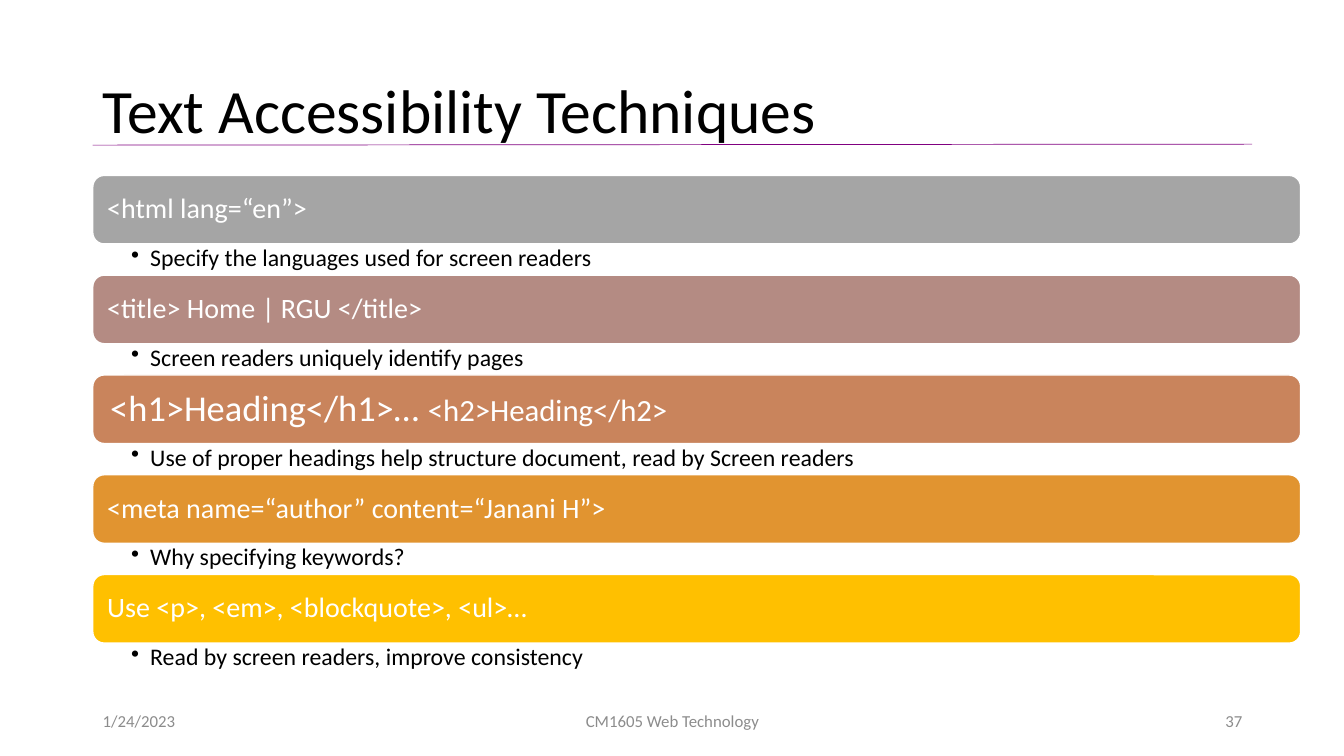
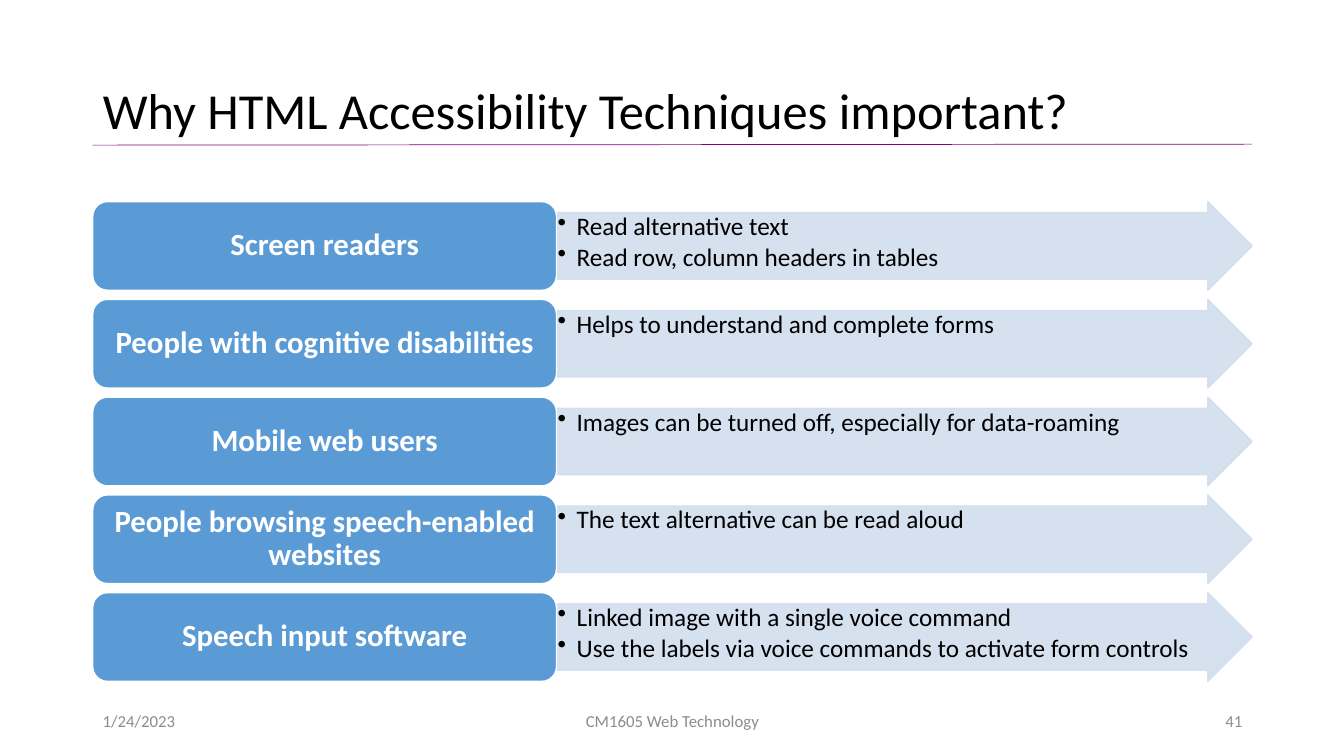
"""Build two slides on HTML accessibility techniques."""

from dataclasses import dataclass
from typing import Optional

from lxml.etree import SubElement
from pptx import Presentation
from pptx.dml.color import RGBColor
from pptx.enum.shapes import MSO_CONNECTOR, MSO_SHAPE
from pptx.enum.text import MSO_ANCHOR, MSO_AUTO_SIZE, PP_ALIGN
from pptx.oxml.ns import qn
from pptx.shapes.autoshape import Shape
from pptx.slide import Slide
from pptx.text.text import TextFrame
from pptx.util import Inches, Pt

COLORS = {
    "black": "000000",
    "white": "FFFFFF",
    "rule": "800080",
    "footer": "8C8C8C",
    "label": "5B9BD5",
    "arrow": "D2DEEF",
    "gray": "A5A5A5",
    "rose": "B48B83",
    "copper": "C9845C",
    "orange": "E19430",
    "gold": "FFC000",
}
FONT = "Calibri"
LEFT = 0.92
CONTENT_WIDTH = 11.5
TITLE_ONLY_LAYOUT = 5


@dataclass(frozen=True)
class TextRun:
    text: str
    size: float


@dataclass(frozen=True)
class TextStyle:
    color: str
    bold: bool = False
    alignment: PP_ALIGN = PP_ALIGN.LEFT
    line_spacing: float = 0.9
    space_after: float = 0
    bullet: bool = False


@dataclass(frozen=True)
class Box:
    left: float
    top: float
    width: float
    height: float


@dataclass(frozen=True)
class Technique:
    code: list[TextRun]
    color: str
    explanation: str
    inset: float = 0.11


@dataclass(frozen=True)
class Audience:
    name: str
    benefits: list[str]


@dataclass(frozen=True)
class FooterItem:
    text: str
    left: float
    width: float
    alignment: PP_ALIGN


TECHNIQUES = [
    Technique([TextRun("<html lang=“en”>", 20)], "gray",
              "Specify the languages used for screen readers"),
    Technique([TextRun("<title> Home | RGU </title>", 20)], "rose",
              "Screen readers uniquely identify pages"),
    Technique([TextRun("<h1>Heading</h1>… ", 26), TextRun("<h2>Heading</h2>", 22)], "copper",
              "Use of proper headings help structure document, read by Screen readers", 0.14),
    Technique([TextRun("<meta name=“author” content=“Janani H”>", 20)], "orange",
              "Why specifying keywords?"),
    Technique([TextRun("Use <p>, <em>, <blockquote>, <ul>…", 20)], "gold",
              "Read by screen readers, improve consistency"),
]
AUDIENCES = [
    Audience("Screen readers", ["Read alternative text", "Read row, column headers in tables"]),
    Audience("People with cognitive disabilities", ["Helps to understand and complete forms"]),
    Audience("Mobile web users", ["Images can be turned off, especially for data-roaming"]),
    Audience("People browsing speech-enabled websites", ["The text alternative can be read aloud"]),
    Audience("Speech input software",
             ["Linked image with a single voice command",
              "Use the labels via voice commands to activate form controls"]),
]


def rgb(name: str) -> RGBColor:
    return RGBColor.from_string(COLORS[name])


def set_frame(frame: TextFrame, anchor: MSO_ANCHOR,
              insets: tuple[float, float, float, float] = (0.1, 0.05, 0.1, 0.05)) -> None:
    frame.word_wrap = True
    frame.auto_size = MSO_AUTO_SIZE.NONE
    frame.vertical_anchor = anchor
    frame.margin_left, frame.margin_top, frame.margin_right, frame.margin_bottom = map(Inches, insets)


def write_paragraphs(frame: TextFrame, paragraphs: list[list[TextRun]], style: TextStyle) -> None:
    for index, runs in enumerate(paragraphs):
        paragraph = frame.add_paragraph() if index else frame.paragraphs[0]
        if style.bullet:
            properties = paragraph._p.get_or_add_pPr()
            properties.set("marL", str(Inches(0.19)))
            properties.set("indent", str(-Inches(0.19)))
            SubElement(properties, qn("a:buChar")).set("char", "•")
        paragraph.alignment = style.alignment
        paragraph.line_spacing = style.line_spacing
        paragraph.space_before = Pt(0)
        paragraph.space_after = Pt(style.space_after)
        for text_run in runs:
            run = paragraph.add_run()
            run.text = text_run.text
            run.font.name = FONT
            run.font.size = Pt(text_run.size)
            run.font.bold = style.bold
            run.font.color.rgb = rgb(style.color)


def add_text_box(slide: Slide, box: Box) -> TextFrame:
    return slide.shapes.add_textbox(
        Inches(box.left), Inches(box.top), Inches(box.width), Inches(box.height)).text_frame


def add_filled_shape(slide: Slide, kind: MSO_SHAPE, box: Box, fill: str, line: str,
                     opacity: Optional[int] = None) -> Shape:
    shape = slide.shapes.add_shape(
        kind, Inches(box.left), Inches(box.top), Inches(box.width), Inches(box.height))
    shape.shadow.inherit = False
    shape.fill.solid()
    shape.fill.fore_color.rgb = rgb(fill)
    shape.line.color.rgb = rgb(line)
    shape.line.width = Pt(1)
    if opacity is not None:
        for color in shape._element.spPr.iter(qn("a:srgbClr")):
            SubElement(color, qn("a:alpha")).set("val", str(opacity * 1000))
    return shape


def add_base_slide(presentation: Presentation, title: str, title_size: float, number: int) -> Slide:
    slide = presentation.slides.add_slide(presentation.slide_layouts[TITLE_ONLY_LAYOUT])
    rule = slide.shapes.add_connector(
        MSO_CONNECTOR.STRAIGHT, Inches(LEFT), Inches(1.44),
        Inches(LEFT + CONTENT_WIDTH), Inches(1.43))
    rule.line.color.rgb = rgb("rule")
    rule.line.width = Pt(0.5)
    SubElement(rule._element.spPr, qn("a:effectLst"))

    title_shape = slide.shapes.title
    title_shape.left, title_shape.top = Inches(LEFT), Inches(0.4)
    title_shape.width, title_shape.height = Inches(CONTENT_WIDTH), Inches(1.45)
    set_frame(title_shape.text_frame, MSO_ANCHOR.MIDDLE)
    write_paragraphs(title_shape.text_frame, [[TextRun(title, title_size)]], TextStyle("black"))

    footer_items = [
        FooterItem("1/24/2023", LEFT, 3, PP_ALIGN.LEFT),
        FooterItem("CM1605 Web Technology", 4.42, 4.5, PP_ALIGN.CENTER),
        FooterItem(str(number), 9.42, 3, PP_ALIGN.RIGHT),
    ]
    for item in footer_items:
        frame = add_text_box(slide, Box(item.left, 6.95, item.width, 0.4))
        set_frame(frame, MSO_ANCHOR.MIDDLE)
        write_paragraphs(frame, [[TextRun(item.text, 12)]],
                         TextStyle("footer", alignment=item.alignment, line_spacing=1.0))
    return slide


def add_technique(slide: Slide, technique: Technique, top: float) -> None:
    width, bar_height = 11.98, 0.68
    bar = add_filled_shape(slide, MSO_SHAPE.ROUNDED_RECTANGLE,
                           Box(LEFT, top, width, bar_height), technique.color, "white")
    set_frame(bar.text_frame, MSO_ANCHOR.MIDDLE, (technique.inset,) * 4)
    write_paragraphs(bar.text_frame, [technique.code], TextStyle("white"))

    frame = add_text_box(slide, Box(LEFT, top + bar_height, width, 0.31))
    set_frame(frame, MSO_ANCHOR.TOP, (0.38, 0.02, 0.13, 0.02))
    write_paragraphs(frame, [[TextRun(technique.explanation, 17)]],
                     TextStyle("black", bullet=True))


def add_audience(slide: Slide, audience: Audience, top: float) -> None:
    label_width, height = 4.6, 0.88
    arrow = add_filled_shape(
        slide, MSO_SHAPE.RIGHT_ARROW,
        Box(LEFT + label_width, top, CONTENT_WIDTH - label_width, height),
        "arrow", "arrow", opacity=90)
    arrow.adjustments[0] = 0.75
    arrow.adjustments[1] = 0.5
    set_frame(arrow.text_frame, MSO_ANCHOR.TOP, (0.01,) * 4)
    write_paragraphs(arrow.text_frame, [[TextRun(benefit, 18)] for benefit in audience.benefits],
                     TextStyle("black", space_after=2.7, bullet=True))

    label = add_filled_shape(slide, MSO_SHAPE.ROUNDED_RECTANGLE,
                             Box(LEFT, top, label_width, height), "label", "white")
    set_frame(label.text_frame, MSO_ANCHOR.MIDDLE, (0.13, 0.09, 0.13, 0.09))
    write_paragraphs(label.text_frame, [[TextRun(audience.name, 22)]],
                     TextStyle("white", bold=True, alignment=PP_ALIGN.CENTER))


def main() -> None:
    presentation = Presentation()
    presentation.slide_width = Inches(13.33)
    presentation.slide_height = Inches(7.5)

    techniques_slide = add_base_slide(presentation, "Text Accessibility Techniques", 44, 37)
    for index, technique in enumerate(TECHNIQUES):
        add_technique(techniques_slide, technique, 1.74 + index * 0.99)

    audiences_slide = add_base_slide(
        presentation, "Why HTML Accessibility Techniques important?", 36, 41)
    for index, audience in enumerate(AUDIENCES):
        add_audience(audiences_slide, audience, 2 + index * 0.97)

    presentation.save("out.pptx")


if __name__ == "__main__":
    main()
